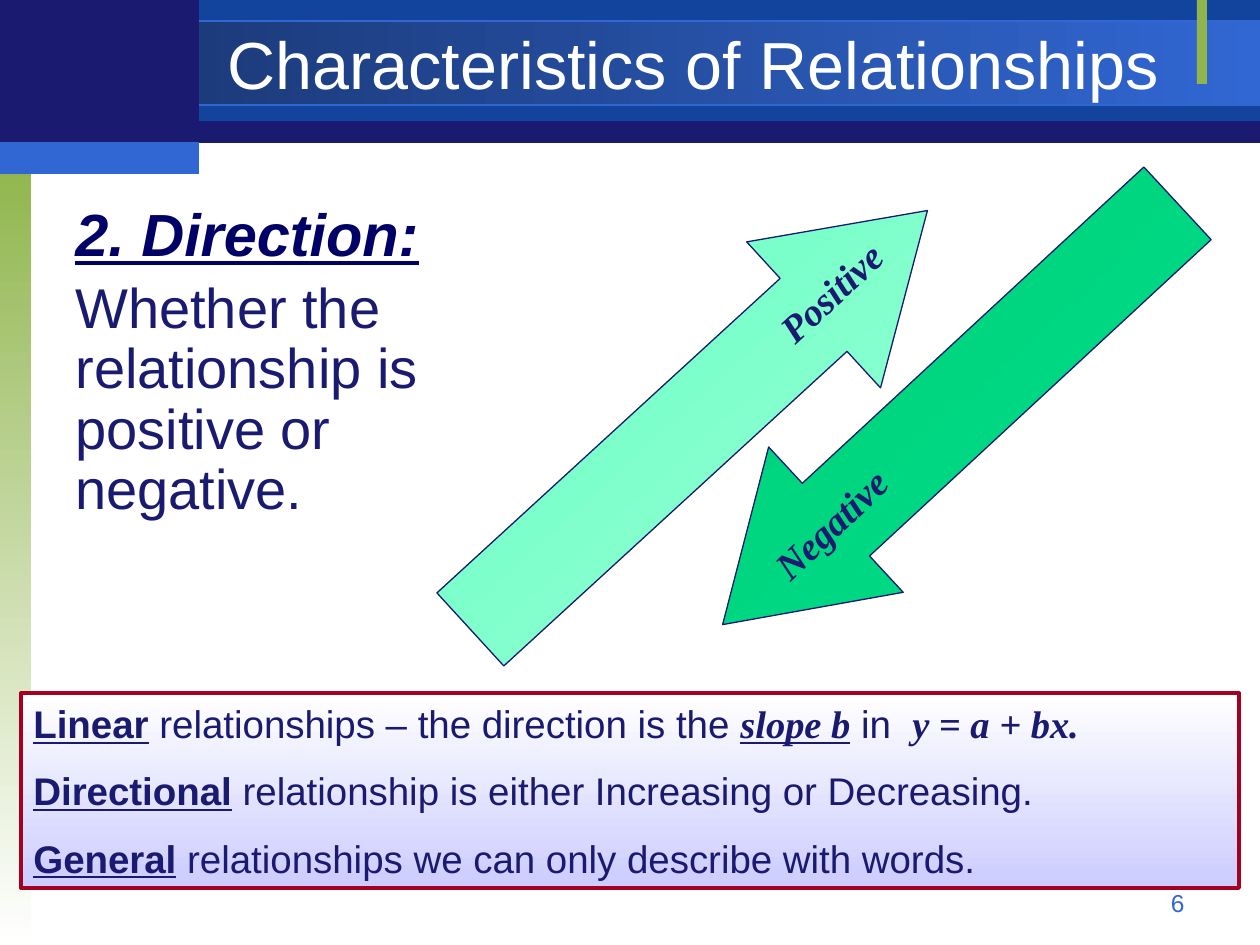
"""Build the slide on the direction of relationships."""
import pptx
import pptx.dml.color
import pptx.enum.shapes
import pptx.enum.text
import pptx.util

PX = 914400 / 126
RECT = pptx.enum.shapes.MSO_SHAPE.RECTANGLE
ARROW = pptx.enum.shapes.MSO_SHAPE.RIGHT_ARROW
ALIGN = pptx.enum.text.PP_ALIGN
ANCHOR = pptx.enum.text.MSO_ANCHOR

NAVY, BLUE, GREEN, WHITE = "1A1A70", "3167D3", "90B54D", "FFFFFF"
SERIF = "Times New Roman"
KEY = dict(bold=True, underline=True)
LABEL = dict(name=SERIF, bold=True, italic=True)

BANDS = [
    ((0, 1, 1260, 142), [NAVY], None),
    ((199, 0, 1061, 121), [("12449E")], None),
    ((0, 21, 1260, 84), ["18336A", BLUE], 0),
    ((0, 158, 31, 787), [GREEN, WHITE], 270),
    ((1197, 0, 10, 84), [GREEN], None),
    ((0, 0, 199, 147), [NAVY], None),
    ((0, 142, 199, 32), [BLUE], None),
]
ARROWS = [
    ((640, 315, 620, 198), 137.2, ["00E088", "00CC7A"]),
    ((389, 321, 620, 198), 317.5, ["66FFC2", "99FFD6"]),
]
TITLE = [[("Characteristics of Relationships", {})]]
DIRECTION = [
    [("2. Direction:", dict(size=34, color="000066", italic=True, **KEY))],
    [("Whether the relationship is positive or negative.", {})],
]
KINDS = [
    [("Linear", KEY), (" relationships – the direction is the ", {}),
     ("slope b", dict(LABEL, underline=True)), (" in  ", {}), ("y = a + bx.", LABEL)],
    [("Directional", KEY), (" relationship is either Increasing or Decreasing.", {})],
    [("General", KEY), (" relationships we can only describe with words.", {})],
]
SIGNS = [
    ("Positive", (756, 262, 150, 59), 317.2),
    ("Negative", (748, 493, 168, 59), 316.4),
]


def px(*lengths):
    return [pptx.util.Emu(round(length * PX)) for length in lengths]


def rgb(color):
    return pptx.dml.color.RGBColor.from_string(color)


def write(holder, paragraphs, size=22, color=NAVY, name="Arial", align=ALIGN.LEFT,
          anchor=ANCHOR.TOP, before=0, spacing=1.0):
    frame = holder.text_frame
    frame.word_wrap = True
    frame.auto_size = pptx.enum.text.MSO_AUTO_SIZE.NONE
    frame.vertical_anchor = anchor
    for index, pieces in enumerate(paragraphs):
        paragraph = frame.add_paragraph() if index else frame.paragraphs[0]
        paragraph.alignment = align
        paragraph.line_spacing = spacing
        if index:
            paragraph.space_before = pptx.util.Pt(before)
        for text, changes in pieces:
            style = dict(size=size, color=color, name=name) | changes
            run = paragraph.add_run()
            run.text = text
            run.font.size = pptx.util.Pt(style["size"])
            run.font.name = style["name"]
            run.font.color.rgb = rgb(style["color"])
            run.font.bold = style.get("bold", False)
            run.font.italic = style.get("italic", False)
            run.font.underline = style.get("underline", False)


def draw(shapes, kind, box, colors, angle=None, outline=None, weight=0.75):
    shape = shapes.add_shape(kind, *px(*box))
    shape.shadow.inherit = False
    if len(colors) == 1:
        shape.fill.solid()
        shape.fill.fore_color.rgb = rgb(colors[0])
    else:
        shape.fill.gradient()
        shape.fill.gradient_angle = angle
        for stop, color in zip(shape.fill.gradient_stops, colors):
            stop.color.rgb = rgb(color)
            stop.position = colors.index(color)
    if outline:
        shape.line.color.rgb = rgb(outline)
        shape.line.width = pptx.util.Pt(weight)
    else:
        shape.line.fill.background()
    return shape


def main():
    deck = pptx.Presentation()
    deck.slide_width, deck.slide_height = px(1260, 945)
    slide = deck.slides.add_slide(deck.slide_layouts[5])
    shapes = slide.shapes

    for box, colors, angle in BANDS:
        draw(shapes, RECT, box, colors, angle, BLUE if angle == 0 else None)
    for box, rotation, colors in ARROWS:
        arrow = draw(shapes, ARROW, box, colors, 270, NAVY)
        arrow.adjustments[0], arrow.adjustments[1] = 0.5, 0.78
        arrow.rotation = rotation

    title = shapes.title
    title.left, title.top, title.width, title.height = px(95, 0, 1197, 126)
    write(title, TITLE, size=38, color=WHITE, align=ALIGN.CENTER, anchor=ANCHOR.MIDDLE)
    title.element.getparent().append(title.element)

    direction = shapes.add_textbox(*px(63, 199, 504, 315))
    write(direction, DIRECTION, size=32, before=6, spacing=0.9)

    kinds = draw(shapes, RECT, (21, 693, 1218, 195), [WHITE, "CCCCFF"], 270, "A50021", 2.25)
    write(kinds, KINDS, before=12, anchor=ANCHOR.MIDDLE)

    for sign, box, rotation in SIGNS:
        label = shapes.add_textbox(*px(*box))
        label.rotation = rotation
        write(label, [[(sign, LABEL)]])

    number = shapes.add_textbox(*px(903, 882, 294, 63))
    write(number, [[("6", {})]], size=14, color=BLUE, align=ALIGN.RIGHT)
    deck.save("out.pptx")


if __name__ == "__main__":
    main()
